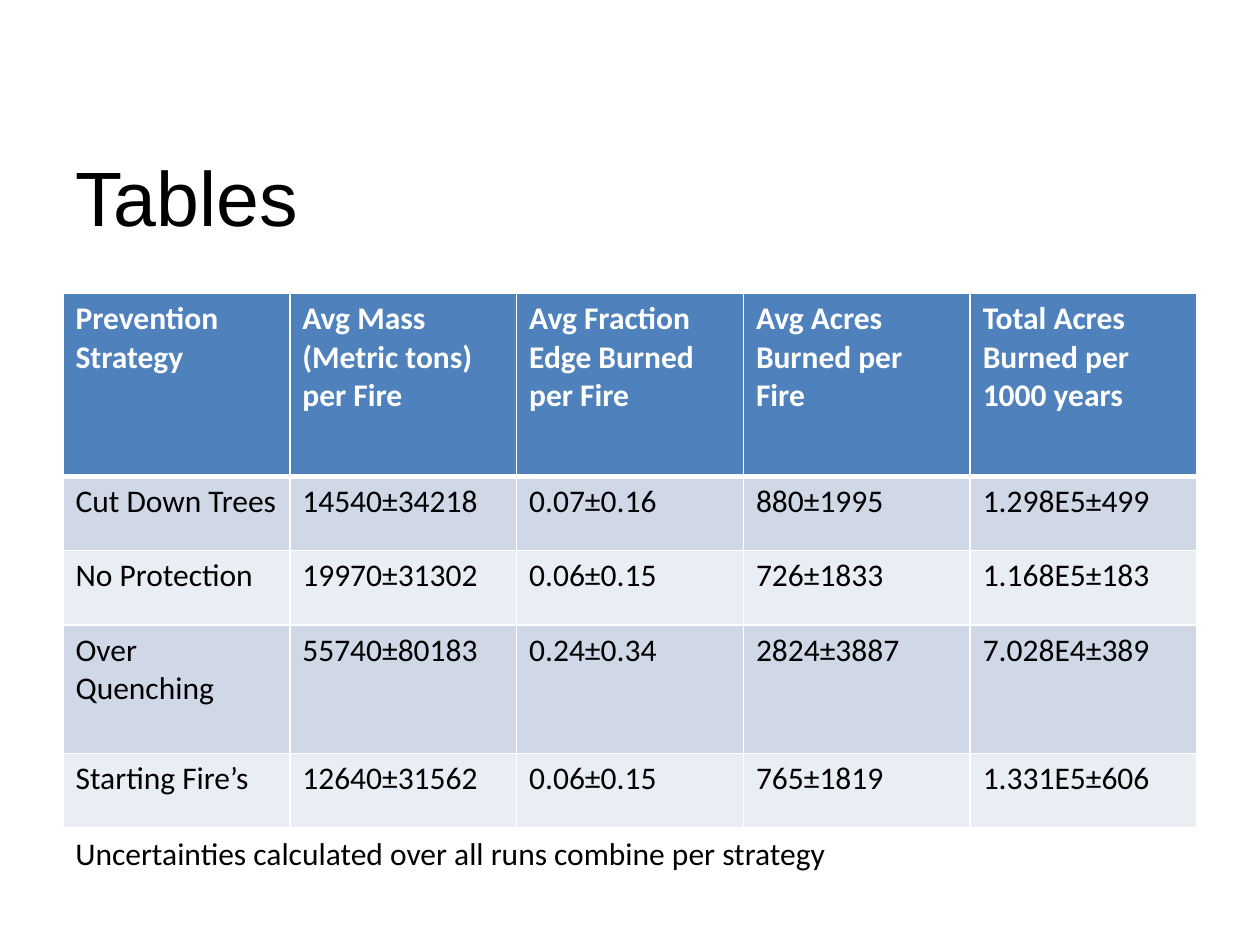
from lxml import etree
from pptx import Presentation
from pptx.dml.color import RGBColor
from pptx.enum.text import MSO_ANCHOR as Anchor
from pptx.oxml.ns import qn
from pptx.util import Inches, Pt


def add_text(para, text, size, font, color, bold=False):
    span = para.add_run()
    span.text = text
    span.font.size = Pt(size)
    span.font.name = font
    span.font.bold = bold
    span.font.color.rgb = RGBColor.from_string(color)


def add_border(cell, side, points, color):
    line = etree.SubElement(cell._tc.get_or_add_tcPr(), qn(f"a:ln{side}"), w=str(Pt(points)))
    fill = etree.SubElement(line, qn("a:solidFill"))
    etree.SubElement(fill, qn("a:srgbClr"), val=color)


WHITE, BLACK = "FFFFFF", "000000"
HEADER_FILL = "4F81BD"
BAND_FILLS = ["E9EDF4", "D0D8E8"]

deck = Presentation()
deck.slide_width, deck.slide_height = Inches(10), Inches(7.5)
page = deck.slides.add_slide(deck.slide_layouts[6])

# Title and note under the table
for text, top, height, size, font, anchor in [
    ("Tables", 0.93, 1.25, 44, "Arial", Anchor.MIDDLE),
    ("Uncertainties calculated over all runs combine per strategy",
     6.57, 0.4, 18, "Calibri", Anchor.TOP),
]:
    box = page.shapes.add_textbox(Inches(0.5), Inches(top), Inches(9), Inches(height))
    box.text_frame.word_wrap = True
    box.text_frame.vertical_anchor = anchor
    add_text(box.text_frame.paragraphs[0], text, size, font, BLACK)

# Strategy results
rows = [
    ["Prevention Strategy", "Avg Mass (Metric tons) per Fire",
     "Avg Fraction Edge Burned per Fire", "Avg Acres Burned per Fire",
     "Total Acres Burned per 1000 years"],
    ["Cut Down Trees", "14540±34218", "0.07±0.16", "880±1995", "1.298E5±499"],
    ["No Protection", "19970±31302", "0.06±0.15", "726±1833", "1.168E5±183"],
    ["Over Quenching", "55740±80183", "0.24±0.34", "2824±3887", "7.028E4±389"],
    ["Starting Fire’s", "12640±31562", "0.06±0.15", "765±1819", "1.331E5±606"],
]
row_heights = [1.45, 0.59, 0.59, 1.02, 0.59]
table = page.shapes.add_table(
    len(rows), len(rows[0]), Inches(0.5), Inches(2.33), Inches(9), Inches(sum(row_heights))
).table
for column in table.columns:
    column.width = Inches(1.8)

for row_index, (values, height) in enumerate(zip(rows, row_heights)):
    table.rows[row_index].height = Inches(height)
    is_header = row_index == 0
    # A thick rule separates the header from the body
    top_width = 3 if row_index == 1 else 1
    bottom_width = 3 if is_header else 1
    for column_index, value in enumerate(values):
        cell = table.cell(row_index, column_index)
        for side, width in [("L", 1), ("R", 1), ("T", top_width), ("B", bottom_width)]:
            add_border(cell, side, width, WHITE)
        cell.fill.solid()
        cell.fill.fore_color.rgb = RGBColor.from_string(
            HEADER_FILL if is_header else BAND_FILLS[row_index % 2])
        add_text(cell.text_frame.paragraphs[0], value, 18, "Calibri",
                 WHITE if is_header else BLACK, is_header)

deck.save("out.pptx")
